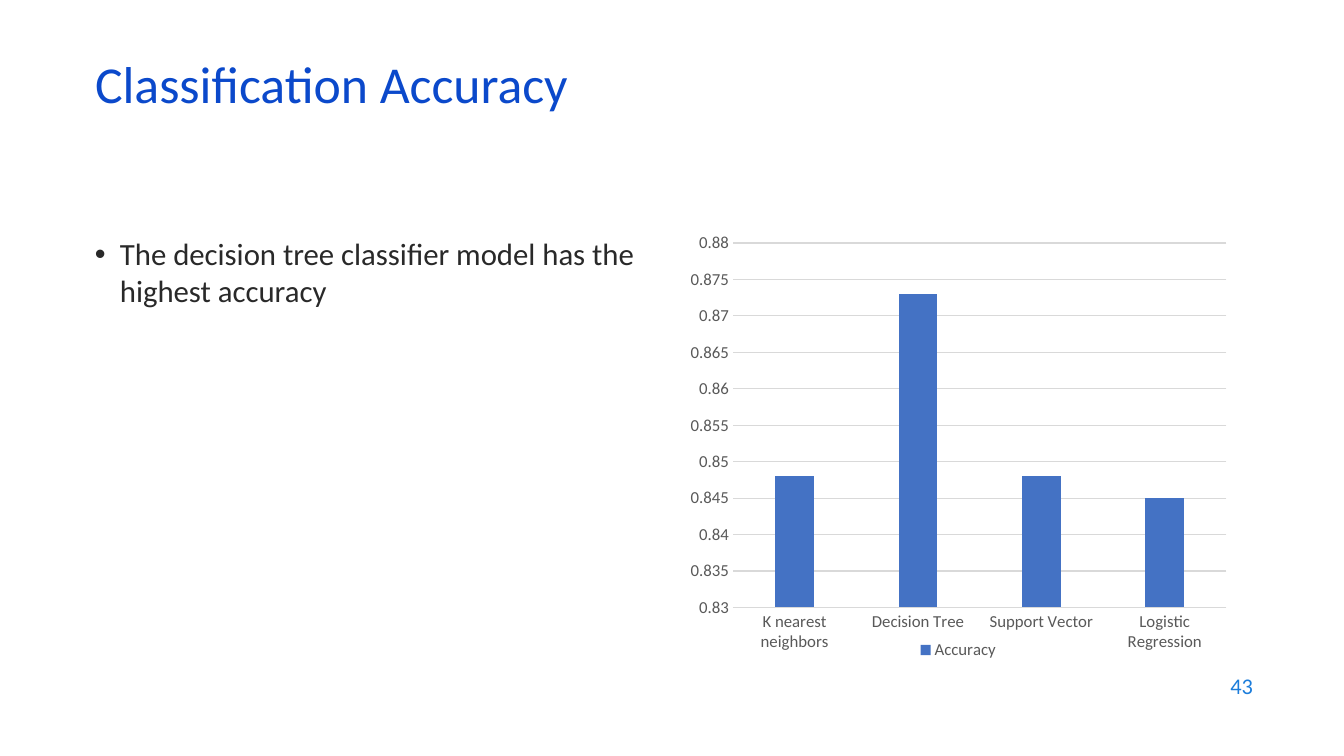
from lxml import etree
from pptx import Presentation
from pptx.chart.data import CategoryChartData
from pptx.dml.color import RGBColor
from pptx.enum.chart import XL_CHART_TYPE, XL_LEGEND_POSITION, XL_TICK_MARK
from pptx.enum.text import MSO_ANCHOR, MSO_AUTO_SIZE, PP_ALIGN
from pptx.oxml import parse_xml
from pptx.oxml.ns import nsdecls, qn
from pptx.util import Pt

EMU_PER_PX = 914400 / 100.8
TITLE_BLUE = RGBColor(0x0B, 0x49, 0xCB)
NUMBER_BLUE = RGBColor(0x1C, 0x7D, 0xDB)
BODY_INK = RGBColor(0x29, 0x29, 0x29)
BAR_BLUE = RGBColor(0x44, 0x72, 0xC4)
LABEL_GREY = RGBColor(0x59, 0x59, 0x59)
GRID_GREY = RGBColor(0xD9, 0xD9, 0xD9)

ACCURACY = {
    "K nearest neighbors": 0.848,
    "Decision Tree": 0.873,
    "Support Vector": 0.848,
    "Logistic Regression": 0.845,
}


def px(length):
    return round(length * EMU_PER_PX)


class SlideBuilder:
    """Holds the font and the current slide, and adds elements to it."""

    def __init__(self, slide, font_name="Calibri"):
        self.slide = slide
        self.font_name = font_name

    def style(self, font, size, color):
        font.name = self.font_name
        font.size = Pt(size)
        font.color.rgb = color

    def fill_text(self, shape, text, size, color, align, anchor):
        text_frame = shape.text_frame
        text_frame.text = text
        text_frame.word_wrap = True
        text_frame.auto_size = MSO_AUTO_SIZE.NONE
        text_frame.vertical_anchor = anchor
        paragraph = text_frame.paragraphs[0]
        paragraph.alignment = align
        self.style(paragraph.runs[0].font, size, color)
        return paragraph

    def title(self, text, box):
        shape = self.slide.shapes.title
        shape.left, shape.top, shape.width, shape.height = map(px, box)
        paragraph = self.fill_text(shape, text, 37, TITLE_BLUE,
                                   PP_ALIGN.LEFT, MSO_ANCHOR.MIDDLE)
        paragraph.line_spacing = 0.8

    def text(self, text, box, size, color, align=PP_ALIGN.LEFT, anchor=MSO_ANCHOR.TOP):
        shape = self.slide.shapes.add_textbox(*map(px, box))
        return self.fill_text(shape, text, size, color, align, anchor)

    def bullet(self, text, box, size, color, indent=25):
        paragraph = self.text(text, box, size, color)
        properties = paragraph._p.get_or_add_pPr()
        properties.set("marL", str(px(indent)))
        properties.set("indent", str(-px(indent)))
        etree.SubElement(properties, qn("a:buFont")).set("typeface", "Arial")
        etree.SubElement(properties, qn("a:buChar")).set("char", "•")

    def column_chart(self, name, values, box, scale, plot):
        data = CategoryChartData()
        data.categories = list(values)
        data.add_series(name, list(values.values()))
        chart = self.slide.shapes.add_chart(
            XL_CHART_TYPE.COLUMN_CLUSTERED, *map(px, box), data).chart
        chart.has_title = False
        self.style(chart.font, 12, LABEL_GREY)

        # Bars
        bars = chart.plots[0]
        bars.gap_width = 219
        bars.overlap = -27
        bars.vary_by_categories = False
        fill = bars.series[0].format.fill
        fill.solid()
        fill.fore_color.rgb = BAR_BLUE

        # Axes and grid
        for axis in (chart.category_axis, chart.value_axis):
            axis.major_tick_mark = axis.minor_tick_mark = XL_TICK_MARK.NONE
            self.style(axis.tick_labels.font, 12, LABEL_GREY)
        value_axis = chart.value_axis
        value_axis.minimum_scale, value_axis.maximum_scale, value_axis.major_unit = scale
        value_axis.tick_labels.number_format = "General"
        value_axis.tick_labels.number_format_is_linked = False
        value_axis.format.line.fill.background()
        for line in (chart.category_axis.format.line, value_axis.major_gridlines.format.line):
            line.color.rgb = GRID_GREY
            line.width = Pt(0.75)

        # Legend
        chart.has_legend = True
        chart.legend.position = XL_LEGEND_POSITION.BOTTOM
        chart.legend.include_in_layout = False
        self.style(chart.legend.font, 12, LABEL_GREY)

        # Plot area, as fractions of the chart
        plot_area = chart._chartSpace.chart.plotArea
        for layout in plot_area.findall(qn("c:layout")):
            plot_area.remove(layout)
        sizes = "".join(f'<c:{key} val="{value}"/>' for key, value in zip("xywh", plot))
        plot_area.insert(0, parse_xml(
            f'<c:layout {nsdecls("c")}><c:manualLayout><c:layoutTarget val="inner"/>'
            f'<c:xMode val="edge"/><c:yMode val="edge"/>{sizes}'
            '</c:manualLayout></c:layout>'))


def main():
    presentation = Presentation()
    presentation.slide_width, presentation.slide_height = px(1344), px(756)
    title_only = presentation.slide_layouts[5]
    builder = SlideBuilder(presentation.slides.add_slide(title_only))

    # Title and finding
    builder.title("Classification Accuracy", (85, 59, 1159, 60))
    builder.bullet("The decision tree classifier model has the highest accuracy",
                   (85, 230, 587, 420), 22, BODY_INK)

    # Accuracy by model
    builder.column_chart("Accuracy", ACCURACY, (690, 230, 537, 434),
                         scale=(0.83, 0.88, 0.005), plot=(0.08, 0.03, 0.92, 0.84))

    # Slide number
    builder.text("43", (961, 664, 302, 44), 16, NUMBER_BLUE,
                 PP_ALIGN.RIGHT, MSO_ANCHOR.MIDDLE)

    presentation.save("out.pptx")


if __name__ == "__main__":
    main()
